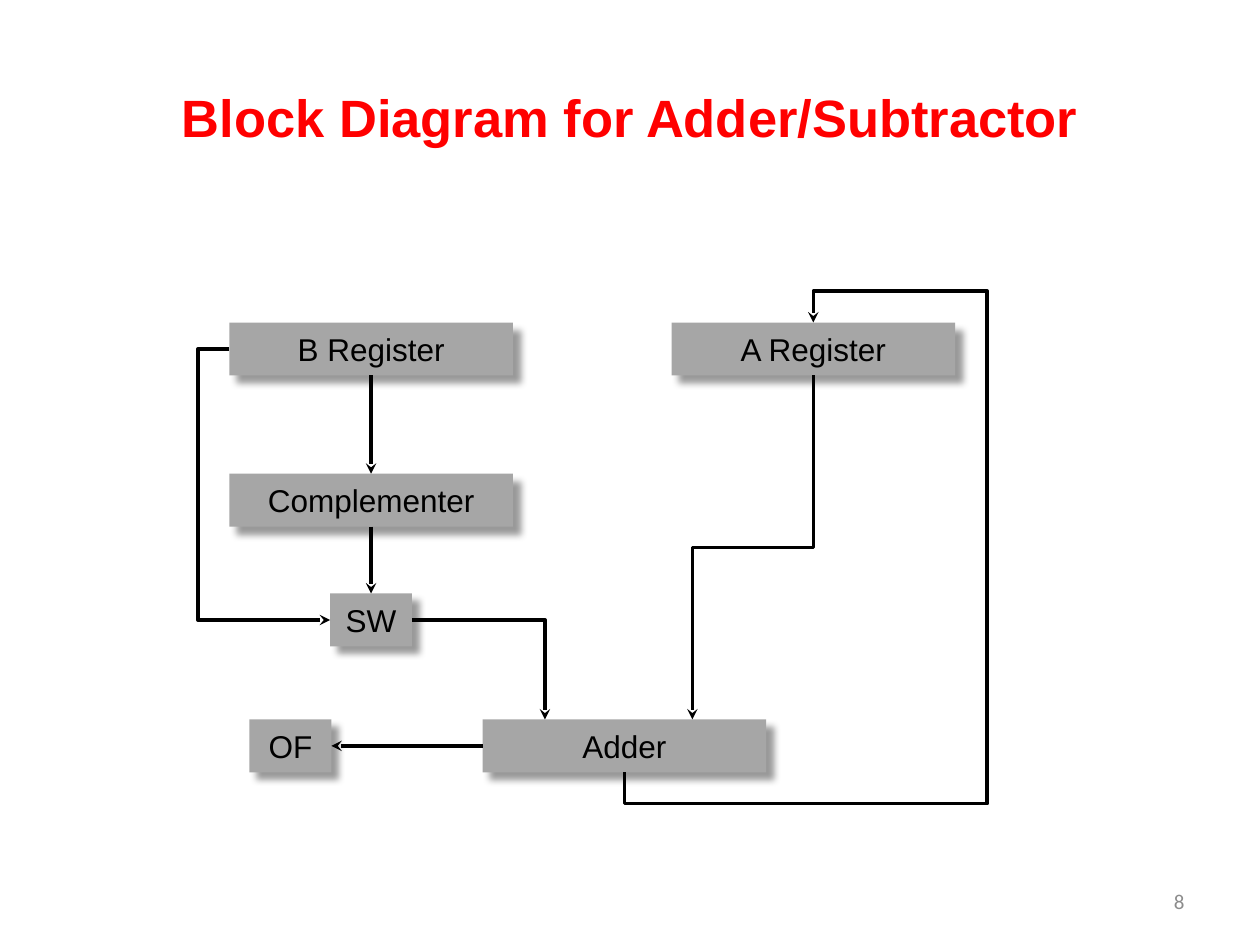
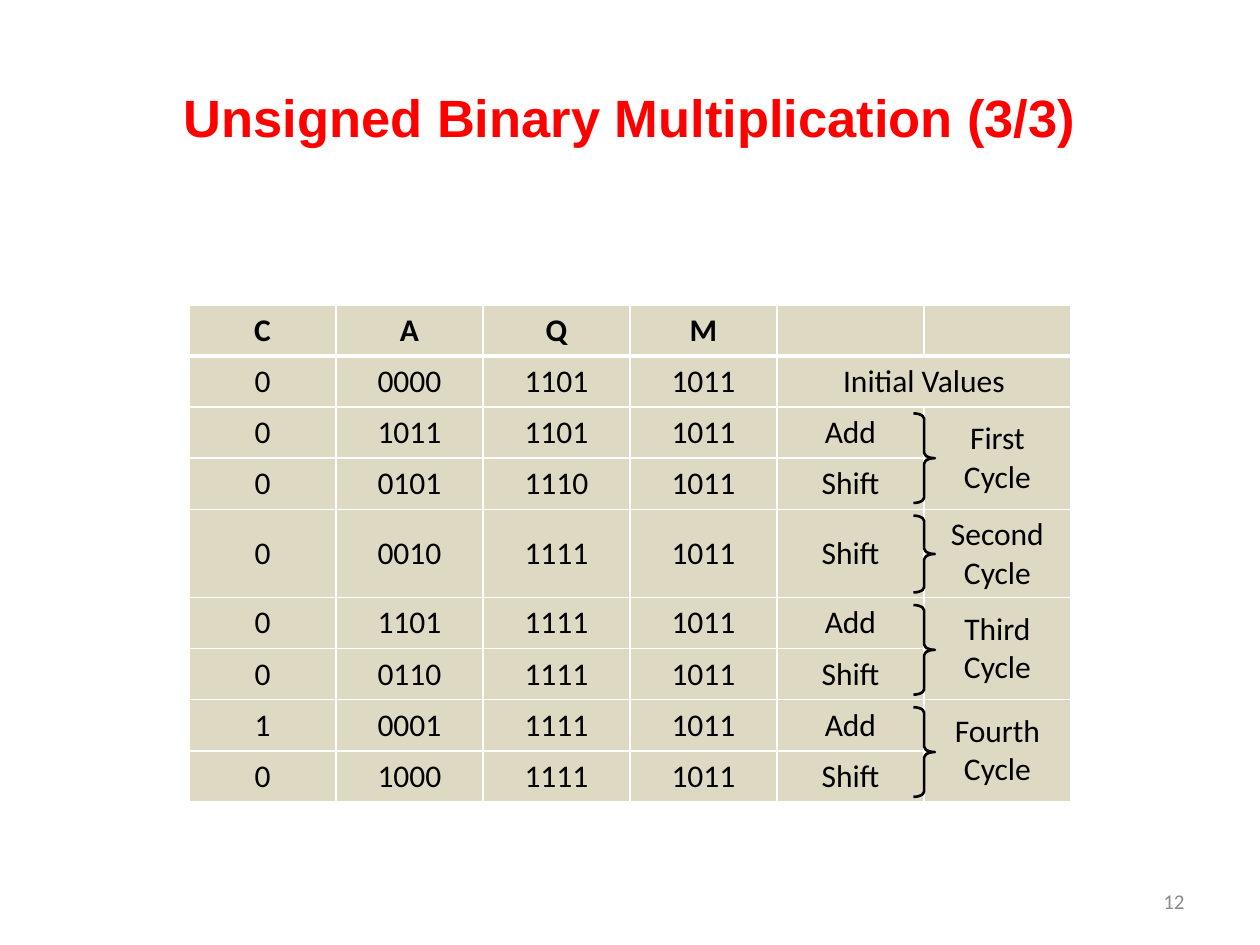
from dataclasses import dataclass

from lxml import etree
from pptx import Presentation
from pptx import util as u
from pptx.dml.color import RGBColor
from pptx.enum import shapes, text
from pptx.oxml import ns


@dataclass(frozen=True)
class Theme:
    title: str = "FF0000"
    ink: str = "000000"
    block: str = "A6A6A6"
    cell: str = "DDD9C3"
    rule: str = "FFFFFF"
    number: str = "8C8C8C"
    heading_font: str = "Arial"
    body_font: str = "Calibri"
    title_size: int = 30
    body_size: int = 18
    number_size: int = 12
    line_width: float = 2
    brace_width: float = 1.5


THEME = Theme()
WIDTH, HEIGHT = 10, 7.5
TOP, LEFT, BOTTOM, RIGHT = range(4)

BLOCK_HEIGHT = 0.42
WIDE, NARROW = 2.25, 0.65
BLOCKS = {
    "B Register": (1.82, 2.56, WIDE),
    "A Register": (5.33, 2.56, WIDE),
    "Complementer": (1.82, 3.76, WIDE),
    "Adder": (3.83, 5.71, WIDE),
    "SW": (2.62, 4.71, NARROW),
    "OF": (1.98, 5.71, NARROW),
}

HEADER = ["C", "A", "Q", "M", "", ""]
STEPS = [
    ["0", "0000", "1101", "1011", "Initial Values", ""],
    ["0", "1011", "1101", "1011", "Add", "First Cycle"],
    ["0", "0101", "1110", "1011", "Shift", ""],
    ["0", "0010", "1111", "1011", "Shift", "Second Cycle"],
    ["0", "1101", "1111", "1011", "Add", "Third Cycle"],
    ["0", "0110", "1111", "1011", "Shift", ""],
    ["1", "0001", "1111", "1011", "Add", "Fourth Cycle"],
    ["0", "1000", "1111", "1011", "Shift", ""],
]
TABLE_LEFT, TABLE_TOP, TABLE_WIDTH = 1.5, 2.42, 7
ROW_HEIGHT = 3.65 / (len(STEPS) + 1)
CYCLE_HEIGHT = 0.71
CYCLE_ROWS = [(2, 2), (4, 1), (5, 2), (7, 2)]


def inches(*lengths):
    return [u.Inches(length) for length in lengths]


def add_xml(parent, tag, **attributes):
    return etree.SubElement(parent, ns.qn(tag), attributes)


def write(frame, words, align, font, size, color, bold=False):
    para = frame.paragraphs[0]
    para.alignment = align
    span = para.add_run()
    span.text = words
    span.font.name = font
    span.font.size = u.Pt(size)
    span.font.bold = bold
    span.font.color.rgb = RGBColor.from_string(color)


def add_label(page, words, area, align, font, size, color, bold=False):
    frame = page.shapes.add_textbox(*inches(*area)).text_frame
    frame.word_wrap = True
    frame.vertical_anchor = text.MSO_ANCHOR.MIDDLE
    write(frame, words, align, font, size, color, bold)


def add_page(deck, title, number):
    page = deck.slides.add_slide(deck.slide_layouts[6])
    add_label(page, title, (0.05 * WIDTH, 0.04 * HEIGHT, 0.9 * WIDTH, 1.25),
              text.PP_ALIGN.CENTER, THEME.heading_font, THEME.title_size,
              THEME.title, True)
    add_label(page, number, (7.17, 6.95, 2.33, 0.4), text.PP_ALIGN.RIGHT,
              THEME.body_font, THEME.number_size, THEME.number)
    return page


def add_shadow(box):
    effects = add_xml(box._element.spPr, "a:effectLst")
    shadow = add_xml(effects, "a:outerShdw", blurRad=str(u.Pt(4)),
                     dist=str(u.Pt(6)), dir=str(46 * 60000),
                     algn="tl", rotWithShape="0")
    color = add_xml(shadow, "a:srgbClr", val=THEME.ink)
    add_xml(color, "a:alpha", val="40000")


def add_block(page, words, left, top, width):
    box = page.shapes.add_shape(shapes.MSO_SHAPE.RECTANGLE,
                                *inches(left, top, width, BLOCK_HEIGHT))
    box.fill.solid()
    box.fill.fore_color.rgb = RGBColor.from_string(THEME.block)
    box.line.fill.background()
    add_shadow(box)
    frame = box.text_frame
    frame.word_wrap = False
    frame.vertical_anchor = text.MSO_ANCHOR.MIDDLE
    write(frame, words, text.PP_ALIGN.CENTER, THEME.heading_font,
          THEME.body_size, THEME.ink)
    return box


def add_arrow(page, kind, start, start_site, end, end_site=None, share=0.5):
    arrow = page.shapes.add_connector(kind, 0, 0, 0, 0)
    arrow.begin_connect(start, start_site)
    if end_site is None:
        arrow.end_x = end.left + round(end.width * share)
        arrow.end_y = end.top
    else:
        arrow.end_connect(end, end_site)
    arrow.line.width = u.Pt(THEME.line_width)
    arrow.line.color.rgb = RGBColor.from_string(THEME.ink)
    add_xml(arrow.line._get_or_add_ln(), "a:tailEnd", type="stealth")
    add_xml(arrow._element.spPr, "a:effectLst")
    return arrow


def bend(arrow, turn, *bends):
    across = arrow.end_x - arrow.begin_x
    down = arrow.end_y - arrow.begin_y
    middle_x = (arrow.begin_x + arrow.end_x) // 2
    middle_y = (arrow.begin_y + arrow.end_y) // 2
    along, aside = {0: (across, down), 90: (down, -across),
                    180: (-across, -down)}[turn]
    arrow.width, arrow.height = abs(along), abs(aside)
    arrow.left = middle_x - abs(along) // 2
    arrow.top = middle_y - abs(aside) // 2
    frame = arrow._element.spPr.find(ns.qn("a:xfrm"))
    frame.set("rot", str(turn * 60000))
    frame.set("flipH", str(int(along < 0)))
    frame.set("flipV", str(int(aside < 0)))
    geometry = arrow._element.spPr.find(ns.qn("a:prstGeom"))
    geometry.set("prst", f"bentConnector{len(bends) + 2}")
    guides = geometry.find(ns.qn("a:avLst"))
    if guides is None:
        guides = add_xml(geometry, "a:avLst")
    for index, share in enumerate(bends, 1):
        add_xml(guides, "a:gd", name=f"adj{index}",
                fmla=f"val {round(share * 100000)}")


def build_block_diagram(deck):
    page = add_page(deck, "Block Diagram for Adder/Subtractor", "8")
    blocks = {name: add_block(page, name, *place)
              for name, place in BLOCKS.items()}
    b_register, a_register, complementer, adder, switch, overflow = blocks.values()

    straight = shapes.MSO_CONNECTOR.STRAIGHT
    add_arrow(page, straight, b_register, BOTTOM, complementer, TOP)
    add_arrow(page, straight, complementer, BOTTOM, switch, TOP)
    add_arrow(page, straight, adder, LEFT, overflow, RIGHT)

    elbow = shapes.MSO_CONNECTOR.ELBOW
    bend(add_arrow(page, elbow, a_register, BOTTOM, adder, share=0.74), 90, 0.5)
    bend(add_arrow(page, elbow, switch, RIGHT, adder, share=0.22), 0, 1)
    bend(add_arrow(page, elbow, b_register, LEFT, switch, LEFT), 180, -0.31)
    bend(add_arrow(page, elbow, adder, BOTTOM, a_register, TOP),
         90, -0.07, 1.92, 1.07)


def style_cell(cell, row):
    properties = cell._tc.get_or_add_tcPr()
    weights = {"L": 1, "R": 1, "T": 3 if row == 1 else 1,
               "B": 3 if row == 0 else 1}
    for side, weight in weights.items():
        border = add_xml(properties, f"a:ln{side}", w=str(u.Pt(weight)))
        add_xml(add_xml(border, "a:solidFill"), "a:srgbClr", val=THEME.rule)
    cell.fill.solid()
    cell.fill.fore_color.rgb = RGBColor.from_string(THEME.cell)
    cell.vertical_anchor = text.MSO_ANCHOR.MIDDLE


def add_steps_table(page):
    rows = [HEADER] + STEPS
    table = page.shapes.add_table(
        len(rows), len(HEADER),
        *inches(TABLE_LEFT, TABLE_TOP, TABLE_WIDTH, ROW_HEIGHT * len(rows))).table
    table.horz_banding = False
    for row, values in enumerate(rows):
        for column, value in enumerate(values):
            cell = table.cell(row, column)
            style_cell(cell, row)
            if value:
                write(cell.text_frame, value, text.PP_ALIGN.CENTER,
                      THEME.body_font, THEME.body_size, THEME.ink, row == 0)
    table.cell(1, 4).merge(table.cell(1, 5))
    for row, count in CYCLE_ROWS:
        if count > 1:
            table.cell(row, 5).merge(table.cell(row + count - 1, 5))


def add_brace(page, top, height):
    brace = page.shapes.add_shape(shapes.MSO_SHAPE.RIGHT_BRACE,
                                  *inches(7.25, top, 0.17, height))
    brace.adjustments[0] = 0.25
    brace.shadow.inherit = False
    brace.fill.background()
    brace.line.width = u.Pt(THEME.brace_width)
    brace.line.color.rgb = RGBColor.from_string(THEME.ink)


def build_multiplication(deck):
    page = add_page(deck, "Unsigned Binary Multiplication (3/3)", "12")
    add_steps_table(page)
    inset = 0.05
    top = TABLE_TOP + 2 * ROW_HEIGHT
    for _, count in CYCLE_ROWS:
        height = CYCLE_HEIGHT if count == 1 else count * ROW_HEIGHT
        add_brace(page, top + inset, height - 2 * inset)
        top += height


def main():
    deck = Presentation()
    deck.slide_width, deck.slide_height = inches(WIDTH, HEIGHT)
    build_block_diagram(deck)
    build_multiplication(deck)
    deck.save("out.pptx")


if __name__ == "__main__":
    main()
